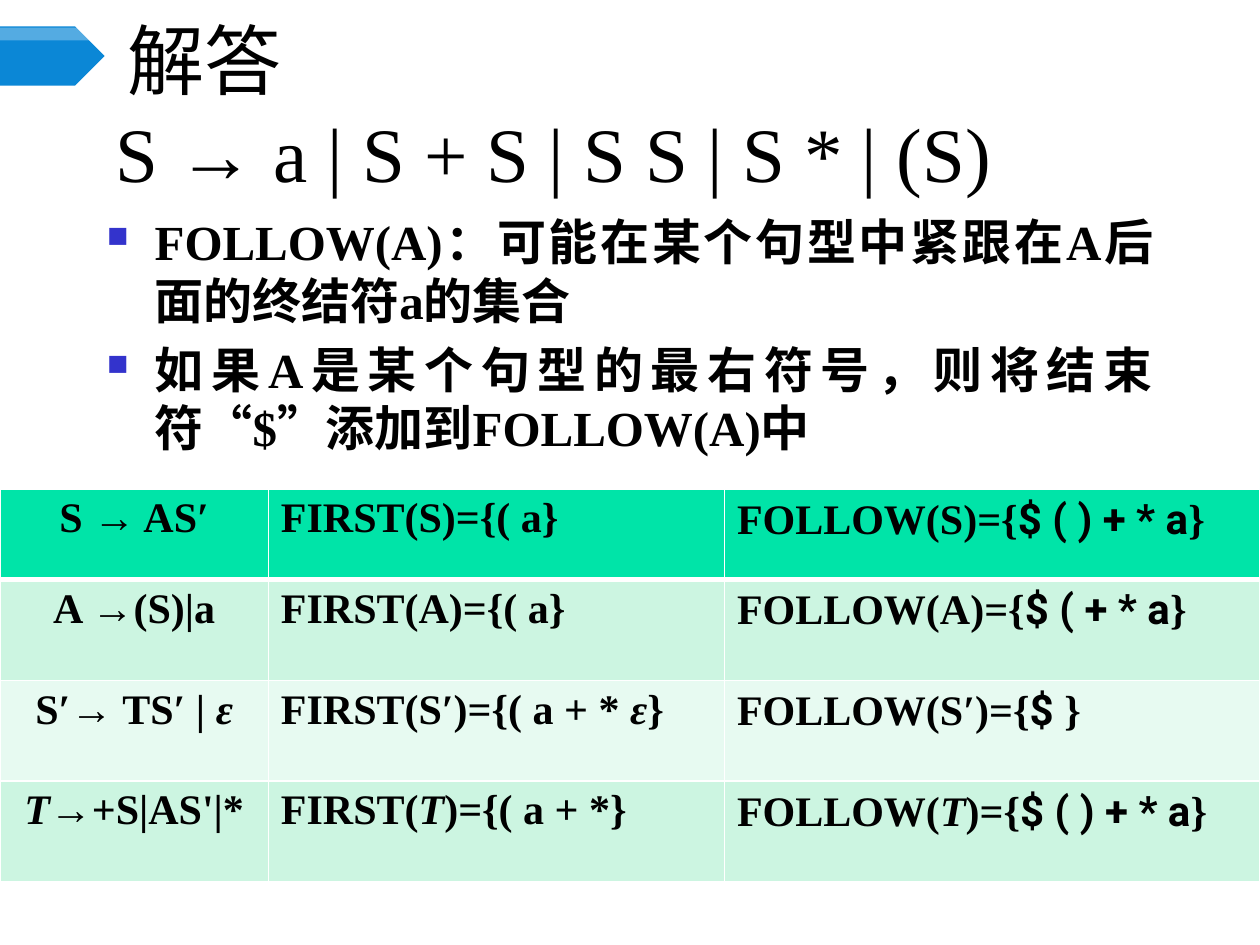
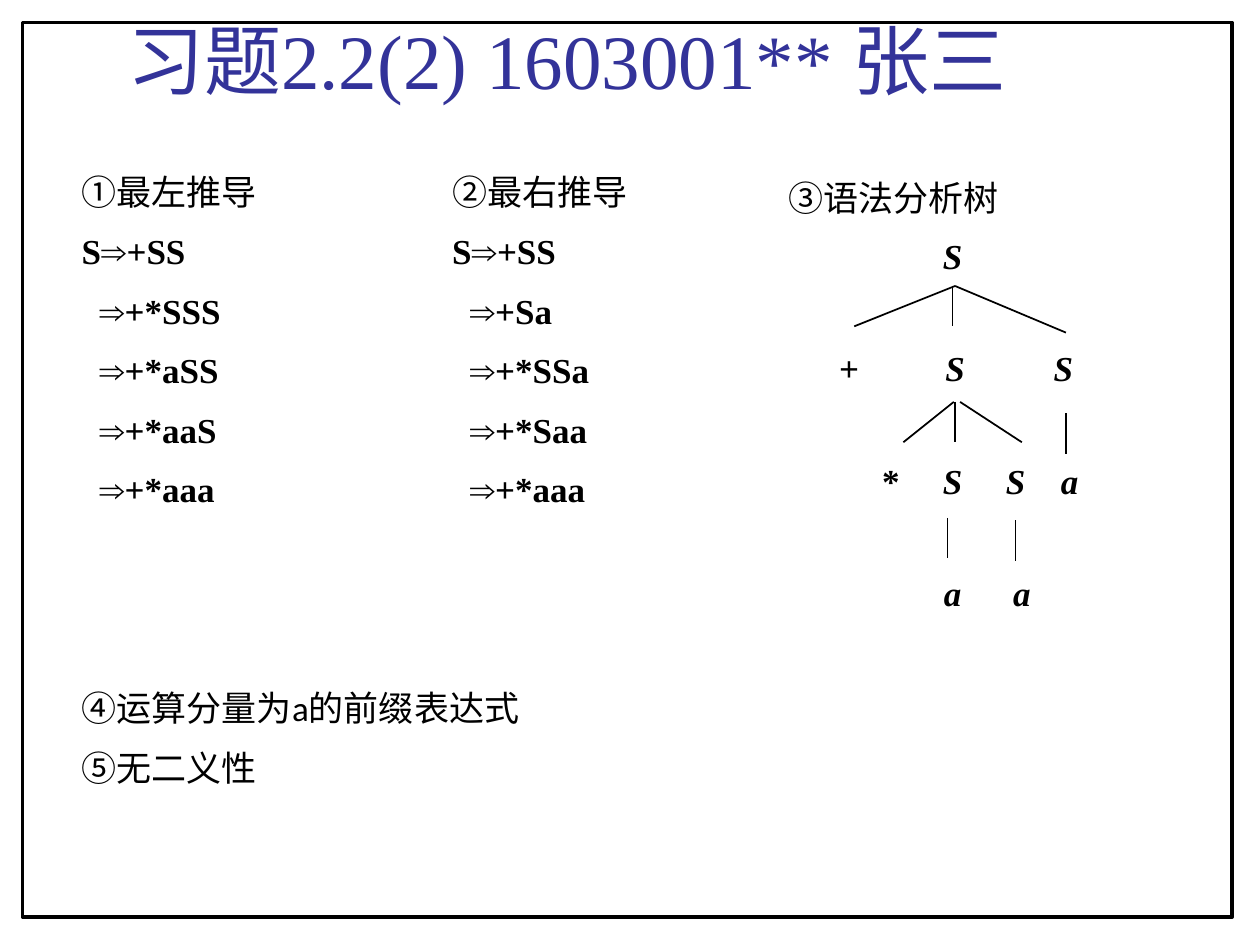
from lxml import etree
from pptx import Presentation
from pptx.dml.color import RGBColor
from pptx.enum.shapes import MSO_CONNECTOR, MSO_SHAPE
from pptx.enum.text import MSO_ANCHOR, PP_ALIGN
from pptx.oxml.ns import qn
from pptx.util import Inches, Pt

LINE = MSO_CONNECTOR.STRAIGHT
PENTAGON, RECT = MSO_SHAPE.PENTAGON, MSO_SHAPE.RECTANGLE
TOP, MIDDLE, BOTTOM = MSO_ANCHOR.TOP, MSO_ANCHOR.MIDDLE, MSO_ANCHOR.BOTTOM
CENTER, JUSTIFY = PP_ALIGN.CENTER, PP_ALIGN.JUSTIFY

BLACK = RGBColor(0x00, 0x00, 0x00)
WHITE = RGBColor(0xFF, 0xFF, 0xFF)
BLUE = RGBColor(0x0B, 0x87, 0xD6)
INDIGO = RGBColor(0x33, 0x33, 0x99)
HEADER_GREEN = RGBColor(0x00, 0xE4, 0xA8)
BAND_GREEN = RGBColor(0xCC, 0xF5, 0xE1)
PALE_GREEN = RGBColor(0xE7, 0xFA, 0xF1)

SERIF, SANS, SYMBOLS = "Times New Roman", "Calibri", "Roboto"
TITLE_BOX = (0.91, 0.18, 8.88, 0.7)
TITLE_SIZE = 44


def format_run(r, size, font=SERIF, color=BLACK, bold=False, italic=False):
    r.font.size = Pt(size)
    r.font.name = font
    r.font.color.rgb = color
    r.font.bold = bold
    r.font.italic = italic


def add_text(s, box, lines, size, anchor=TOP, gap=0, **style):
    """Add a text box with one paragraph per line, gap points apart."""
    tf = s.shapes.add_textbox(*map(Inches, box)).text_frame
    tf.word_wrap = True
    tf.vertical_anchor = anchor
    for i, line in enumerate(lines):
        p = tf.add_paragraph() if i else tf.paragraphs[0]
        p.text = line
        if i:
            p.space_before = Pt(gap)
        format_run(p.runs[0], size, **style)
    return tf


prs = Presentation()
prs.slide_width, prs.slide_height = Inches(10), Inches(7.5)
blank = prs.slide_layouts[6]

# Slide 1: FIRST and FOLLOW sets
s = prs.slides.add_slide(blank)
for top, height, color in ((0.21, 0.47, BLUE), (0.22, 0.1, WHITE)):
    sp = s.shapes.add_shape(PENTAGON, 0, Inches(top), Inches(0.83), Inches(height))
    sp.shadow.inherit = False
    sp.fill.solid()
    sp.fill.fore_color.rgb = color
    sp.line.fill.background()
highlight = sp.fill._xPr.find(qn("a:solidFill"))[0]
etree.SubElement(highlight, qn("a:alpha"), val="30000")

add_text(s, TITLE_BOX, ["解答"], TITLE_SIZE, BOTTOM)
tf = add_text(s, (0.75, 1.63, 8.5, 2.21),
              ["FOLLOW(A)：可能在某个句型中紧跟在A后面的终结符a的集合",
               "如果A是某个句型的最右符号，则将结束符“$”添加到FOLLOW(A)中"],
              28, gap=5.6, bold=True)
for p in tf.paragraphs:
    p.alignment = JUSTIFY
    pPr = p._p.get_or_add_pPr()
    pPr.set("marL", str(Inches(0.38)))
    pPr.set("indent", str(-Inches(0.38)))
    bullet_color = etree.SubElement(pPr, qn("a:buClr"))
    etree.SubElement(bullet_color, qn("a:srgbClr"), val="3333CC")
    etree.SubElement(pPr, qn("a:buSzPct"), val="60000")
    etree.SubElement(pPr, qn("a:buChar"), char="■")
add_text(s, (0.82, 0.92, 8.73, 0.7), ["S → a | S + S | S S | S * | (S)"],
         TITLE_SIZE, BOTTOM)

# Each cell is a list of runs: (text, kind)
PLAIN, ITALIC, SYMBOL = "plain", "italic", "symbol"
END = ("}", PLAIN)
ALL_SYMBOLS = ("$ ( ) + * a", SYMBOL)
T, EPSILON = ("T", ITALIC), ("ε", ITALIC)
rows = [
    [[("S → AS′", PLAIN)], [("FIRST(S)={( a}", PLAIN)],
     [("FOLLOW(S)={", PLAIN), ALL_SYMBOLS, END]],
    [[("A →(S)|a", PLAIN)], [("FIRST(A)={( a}", PLAIN)],
     [("FOLLOW(A)={", PLAIN), ("$ ( + * a", SYMBOL), END]],
    [[("S′→ TS′ | ", PLAIN), EPSILON],
     [("FIRST(S′)={( a + * ", PLAIN), EPSILON, END],
     [("FOLLOW(S′)={", PLAIN), ("$ ", SYMBOL), END]],
    [[T, ("→+S|AS'|*", PLAIN)], [("FIRST(", PLAIN), T, (")={( a + *}", PLAIN)],
     [("FOLLOW(", PLAIN), T, (")={", PLAIN), ALL_SYMBOLS, END]],
]
row_fills = [HEADER_GREEN, BAND_GREEN, PALE_GREEN, BAND_GREEN]
table = s.shapes.add_table(4, 3, 0, Inches(3.88), Inches(10), Inches(3.12)).table
for column, width in zip(table.columns, (2.13, 3.62, 4.25)):
    column.width = Inches(width)
for i, (row, fill) in enumerate(zip(rows, row_fills)):
    table.rows[i].height = Inches(0.8 if i else 0.72)
    for j, runs in enumerate(row):
        cell = table.cell(i, j)
        cell.fill.solid()
        cell.fill.fore_color.rgb = fill
        p = cell.text_frame.paragraphs[0]
        if j == 0:
            p.alignment = CENTER
        for text, kind in runs:
            r = p.add_run()
            r.text = text
            format_run(r, 24, SYMBOLS if kind == SYMBOL else SERIF,
                       bold=True, italic=kind == ITALIC)
        tcPr = cell._tc.get_or_add_tcPr()
        for k, side in enumerate(("lnL", "lnR", "lnT", "lnB")):
            header_rule = (i == 0 and side == "lnB") or (i == 1 and side == "lnT")
            border = etree.Element(qn("a:" + side), w=str(Pt(3 if header_rule else 1)))
            border_fill = etree.SubElement(border, qn("a:solidFill"))
            etree.SubElement(border_fill, qn("a:srgbClr"), val=str(WHITE))
            tcPr.insert(k, border)

# Slide 2: derivations and parse tree
s = prs.slides.add_slide(blank)
add_text(s, TITLE_BOX, ["习题2.2(2) 1603001** 张三"], TITLE_SIZE, BOTTOM, color=INDIGO)

derivations = [
    (0.55, ["①最左推导", "S⇒+SS", "⇒+*SSS", "⇒+*aSS", "⇒+*aaS", "⇒+*aaa"]),
    (3.49, ["②最右推导", "S⇒+SS", "⇒+Sa", "⇒+*SSa", "⇒+*Saa", "⇒+*aaa"]),
]
for left, lines in derivations:
    tf = add_text(s, (left, 1.3, 1.73, 2.92), lines, 20, gap=10, bold=True)
    format_run(tf.paragraphs[0].runs[0], 20, SANS)
    for p in tf.paragraphs[2:]:
        p._p.get_or_add_pPr().set("marL", str(Inches(0.14)))

add_text(s, (6.16, 1.35, 3.14, 0.45), ["③语法分析树"], 20, font=SANS)
tree_levels = [
    [("S", 7.56)],
    [("+", 6.74), ("S", 7.58), ("S", 8.44)],
    [("*", 7.07), ("S", 7.56), ("S", 8.06), ("a", 8.49)],
    [("a", 7.56), ("a", 8.11)],
]
NODE = 0.4
for level, nodes in enumerate(tree_levels):
    for symbol, x in nodes:
        y = 2.03 + 0.89 * level
        tf = add_text(s, (x - NODE / 2, y - NODE / 2, NODE, NODE), [symbol], 20,
                      MIDDLE, bold=True, italic=symbol.isalpha())
        tf.margin_left = tf.margin_right = tf.margin_top = tf.margin_bottom = 0
        tf.paragraphs[0].alignment = CENTER

branches = [
    (7.58, 2.27, 6.78, 2.59), (7.58, 2.27, 8.46, 2.64), (7.56, 2.27, 7.56, 2.59),
    (7.57, 3.19, 7.17, 3.51), (7.62, 3.19, 8.11, 3.51), (7.58, 3.19, 7.58, 3.51),
    (8.46, 3.28, 8.46, 3.6), (7.52, 4.11, 7.52, 4.43), (8.06, 4.13, 8.06, 4.45),
]
for ends in branches:
    branch = s.shapes.add_connector(LINE, *map(Inches, ends))
    branch.line.color.rgb = BLACK
    branch.line.width = Pt(1)
    etree.SubElement(branch._element.spPr, qn("a:effectLst"))

add_text(s, (0.55, 5.4, 5, 0.91), ["④运算分量为a的前缀表达式", "⑤无二义性"],
         20, gap=10, font=SANS)

frame = s.shapes.add_shape(RECT, Inches(0.18), Inches(0.18), Inches(9.6), Inches(7.1))
frame.shadow.inherit = False
frame.fill.background()
frame.line.color.rgb = BLACK
frame.line.width = Pt(2)

prs.save("out.pptx")
